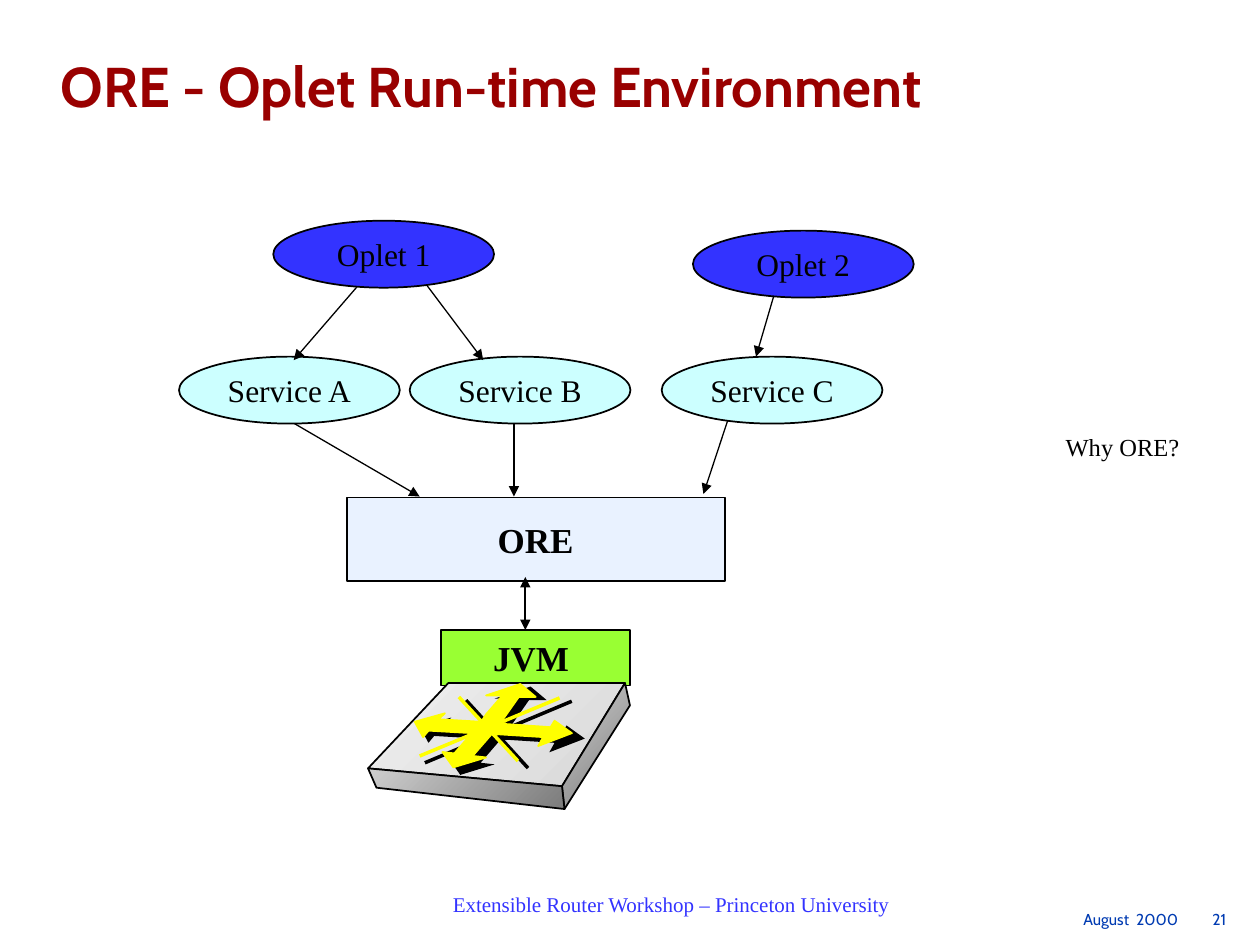
from lxml.etree import SubElement
from pptx import Presentation
from pptx.dml.color import RGBColor
from pptx.enum.shapes import MSO_CONNECTOR, MSO_SHAPE
from pptx.enum.text import MSO_ANCHOR, PP_ALIGN
from pptx.oxml.ns import qn
from pptx.util import Cm, Pt

COLORS = {
    "title": "990000", "footer": "3333FF", "date": "003BB2", "black": "000000",
    "oplet": "3333FF", "service": "CCFFFF", "ore": "E9F2FF", "jvm": "99FF33",
    "arrow": "FFFF00", "top_light": "F0F0F0", "top_dark": "D8D8D8",
    "side_light": "CECECE", "side_dark": "7C7C7C",
}
SERIF, SANS = "Times New Roman", "Cabin"

OPLETS = [("Oplet 1", 5.51, 4.45), ("Oplet 2", 13.97, 4.65)]
SERVICES = [("Service A", 3.61, 7.19), ("Service B", 8.26, 7.19), ("Service C", 13.34, 7.19)]
OPLET_LINKS = [
    ((7.19, 5.79), (5.92, 7.26)), ((8.46, 5.56), (9.74, 7.26)), ((15.67, 5.72), (15.24, 7.19)),
]
SERVICE_LINKS = [
    ((5.92, 8.53), (8.46, 10.01)), ((10.36, 8.53), (10.36, 10.01)), ((14.81, 8.05), (14.18, 9.96)),
]
LEFT, BACK_LEFT, BACK_RIGHT, FRONT = (7.42, 15.49), (9.04, 13.77), (12.6, 13.77), (11.33, 15.85)
BASE = (11.38, 16.31)
FACES = [
    ("top", [LEFT, BACK_LEFT, BACK_RIGHT, FRONT]),
    ("side", [BASE, FRONT, BACK_RIGHT, (12.7, 14.22)]),
    ("side", [LEFT, (7.59, 15.88), BASE, FRONT]),
]
ROUTER_ARROWS = [
    [(9.98, 14.73), (9.6, 14.71), (9.8, 14.4), (10.13, 14.02),
     (9.8, 14.02), (10.49, 13.79), (10.8, 14.05), (10.46, 14.05)],
    [(9.93, 14.78), (9.53, 14.76), (9.14, 15.21), (9.17, 15.19),
     (8.92, 15.16), (9.14, 15.47), (9.8, 15.27), (9.53, 15.24)],
    [(9.96, 14.58), (11.1, 14.66), (11.18, 14.53), (11.53, 14.78),
     (10.85, 15.04), (10.95, 14.86), (9.68, 14.78)],
    [(10.19, 14.58), (8.84, 14.5), (8.97, 14.38), (8.36, 14.55),
     (8.53, 14.86), (8.64, 14.73), (10.03, 14.81)],
]
ROUTER_LINES = [((8.46, 15.24), (11.28, 14.07)), ((9.25, 14.05), (10.44, 15.34))]


def rgb(name):
    """Return the named palette colour."""
    return RGBColor.from_string(COLORS[name])


def write(s, text, size, color="black", font=SERIF, bold=False, align=PP_ALIGN.CENTER,
          anchor=MSO_ANCHOR.MIDDLE, margins=(0.25, 0.13), wrap=False, spacing=None, tab=None):
    """Put one formatted paragraph into a shape."""
    tf = s.text_frame
    tf.word_wrap, tf.vertical_anchor = wrap, anchor
    tf.margin_left = tf.margin_right = Cm(margins[0])
    tf.margin_top = tf.margin_bottom = Cm(margins[1])
    p = tf.paragraphs[0]
    p.alignment = align
    if spacing:
        p.line_spacing = spacing
    if tab:
        tabs = SubElement(p._p.get_or_add_pPr(), qn("a:tabLst"))
        SubElement(tabs, qn("a:tab"), pos=str(Cm(tab)), algn="r")
    r = p.add_run()
    r.text = text
    r.font.name, r.font.size, r.font.bold = font, Pt(size), bold
    r.font.color.rgb = rgb(color)


def add_label(slide, box, text, size, **fmt):
    """Add a text box."""
    write(slide.shapes.add_textbox(*map(Cm, box)), text, size, **fmt)


def add_node(slide, kind, box, fill, text, size, width=1, **fmt):
    """Add a filled, outlined shape with a caption."""
    s = slide.shapes.add_shape(kind, *map(Cm, box))
    s.shadow.inherit = False
    s.fill.solid()
    s.fill.fore_color.rgb = rgb(fill)
    s.line.color.rgb = rgb("black")
    s.line.width = Pt(width)
    write(s, text, size, **fmt)


def add_line(slide, start, end, width=0.75, color="black", ends=()):
    """Add a straight line with arrowheads at the named ends."""
    c = slide.shapes.add_connector(MSO_CONNECTOR.STRAIGHT, *map(Cm, start + end))
    c.line.color.rgb = rgb(color)
    c.line.width = Pt(width)
    for end_tag in ends:
        SubElement(c.line._get_or_add_ln(), qn(end_tag), type="triangle")
    SubElement(c._element.spPr, qn("a:effectLst"))


def add_layer(slide, links, nodes, fill):
    """Add a row of ellipses over the arrows that leave them."""
    for start, end in links:
        add_line(slide, start, end, ends=["a:tailEnd"])
    for name, x, y in nodes:
        add_node(slide, MSO_SHAPE.OVAL, (x, y, 4.45, 1.35), fill, name, 18)


def add_outline(slide, points, line=None):
    """Add a closed polygon, optionally outlined."""
    (x, y), *rest = [(Cm(px), Cm(py)) for px, py in points]
    builder = slide.shapes.build_freeform(x, y)
    builder.add_line_segments(rest, close=True)
    s = builder.convert_to_shape()
    s.shadow.inherit = False
    if line:
        s.line.color.rgb = rgb(line)
        s.line.width = Pt(1)
    else:
        s.line.fill.background()
    return s


def shade(point):
    """Shift a router arrow point to its shadow position."""
    x, y = point
    return 8.46 + (x - 8.36) * 1.05, 13.84 + (y - 13.79) * 1.06


def add_router(slide):
    """Draw the router box with its arrows and their shadows."""
    for face, points in FACES:
        s = add_outline(slide, points, "black")
        s.fill.gradient()
        s.fill.gradient_angle = 315
        for stop, tone, pos in zip(s.fill.gradient_stops, ("light", "dark"), (0, 1)):
            stop.color.rgb = rgb(f"{face}_{tone}")
            stop.position = pos
    for color, line, move in (("black", None, shade), ("arrow", "arrow", tuple)):
        for points in ROUTER_ARROWS:
            s = add_outline(slide, map(move, points), line)
            s.fill.solid()
            s.fill.fore_color.rgb = rgb(color)
        for start, end in ROUTER_LINES:
            add_line(slide, move(start), move(end), 2, color)


def main():
    """Build the slide and save it."""
    prs = Presentation()
    prs.slide_width, prs.slide_height = Cm(25.4), Cm(19.05)
    slide = prs.slides.add_slide(prs.slide_layouts[6])

    top = {"anchor": MSO_ANCHOR.TOP, "wrap": True}
    footer = {**top, "margins": (0.23, 0)}
    add_label(slide, (0.97, 1.07, 24.43, 2.13), "ORE - Oplet Run-time Environment", 32,
              color="title", font=SANS, bold=True, align=PP_ALIGN.LEFT, spacing=0.9, **top)
    add_label(slide, (7.82, 17.98, 11.43, 0.5),
              "Extensible Router Workshop – Princeton University", 12, color="footer", **footer)
    add_label(slide, (21.61, 18.34, 3.36, 0.43), "August  2000\t21", 9, color="date",
              font=SANS, align=PP_ALIGN.LEFT, tab=2.88, **footer)

    add_node(slide, MSO_SHAPE.RECTANGLE, (8.89, 12.7, 3.81, 1.12), "jvm", "JVM ", 20,
             width=0.75, bold=True, **top)
    add_router(slide)
    add_node(slide, MSO_SHAPE.RECTANGLE, (6.99, 10.03, 7.62, 1.68), "ore", "ORE", 20, bold=True)
    add_layer(slide, SERVICE_LINKS, SERVICES, "service")
    add_layer(slide, OPLET_LINKS, OPLETS, "oplet")
    add_line(slide, (10.59, 11.63), (10.59, 12.7), 1, ends=["a:headEnd", "a:tailEnd"])
    add_label(slide, (20.98, 8.59, 3.3, 0.84), "Why ORE?", 14)
    prs.save("out.pptx")


if __name__ == "__main__":
    main()
